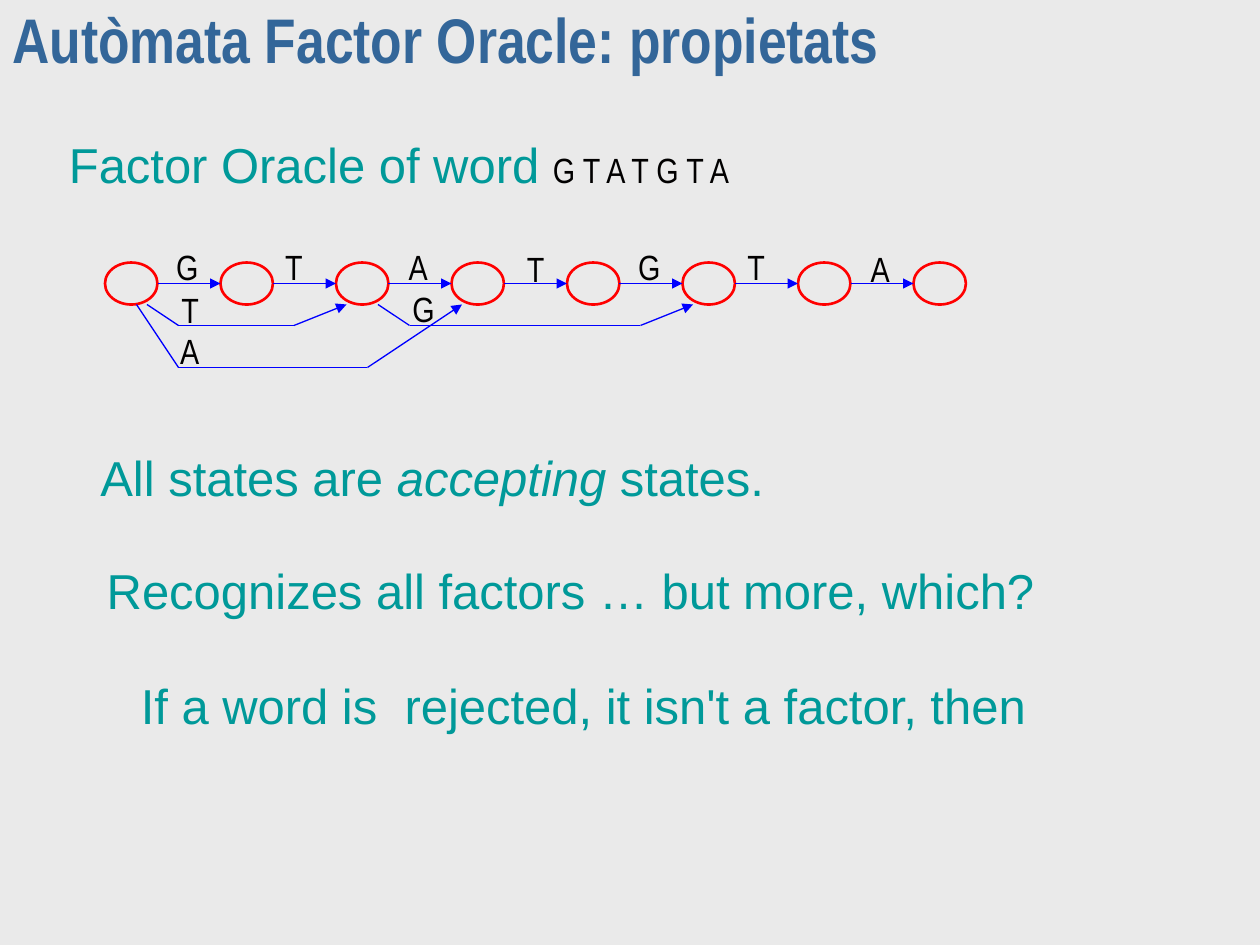
from pptx import Presentation
from pptx.dml.color import RGBColor
from pptx.enum import shapes, text
from pptx.oxml.ns import qn
from pptx.util import Pt
from lxml import etree

COLORS = {"background": "EAEAEA", "title": "336699", "body": "009999",
          "letter": "010000", "state": "FF0000", "arrow": "0000FF"}
BODY, NARROW = "Arial", "Arial Narrow"

WORD = "GTATGTA"
STATE_W, STATE_H, PITCH = 30, 24, 66
# Shift of each letter from the middle of its arrow
LETTER_SHIFTS = [(-1, 0), (-6, 0), (-1, 0), (0, 1.5), (-1, 0), (-6, 0), (-1, 1.5)]
# Letter, source state, target state, start offset, depth, length of rise, letter x, letter y
JUMPS = [("T", 0, 2, 24, 12, 30, 48.7, 27),
         ("A", 0, 3, 18, 36, 54, 48.4, 50),
         ("G", 2, 5, 24, 12, 30, 50, 26.5)]


def color(name):
    return RGBColor.from_string(COLORS[name])


def style(run, size, font, name, bold=False, italic=False):
    run.font.size = Pt(size)
    run.font.name = font
    run.font.color.rgb = color(name)
    run.font.bold = bold
    run.font.italic = italic


def add_title(slide, left, top, width, height):
    title = slide.shapes.title
    title.left, title.top, title.width, title.height = map(Pt, (left, top, width, height))
    frame = title.text_frame
    frame.text = "Autòmata Factor Oracle: propietats"
    frame.vertical_anchor = text.MSO_ANCHOR.MIDDLE
    frame.auto_size = text.MSO_AUTO_SIZE.NONE
    paragraph = frame.paragraphs[0]
    paragraph.alignment = text.PP_ALIGN.LEFT
    paragraph.line_spacing = 0.7
    style(paragraph.runs[0], 36, NARROW, "title", bold=True)


def add_statement(slide, left, top, width, height, parts):
    """Place one line of text; parts are (wording, size, font, color, italic)."""
    statement = slide.shapes.add_textbox(*map(Pt, (left, top, width, height)))
    frame = statement.text_frame
    frame.word_wrap = False
    for wording, size, font, name, italic in parts:
        run = frame.paragraphs[0].add_run()
        run.text = wording
        style(run, size, font, name, italic=italic)


def add_letter(group, letter, center_x, center_y, width=27, height=31.5):
    label = group.shapes.add_textbox(Pt(center_x - width / 2), Pt(center_y - height / 2),
                                     Pt(width), Pt(height))
    frame = label.text_frame
    frame.text = letter
    frame.word_wrap = False
    frame.vertical_anchor = text.MSO_ANCHOR.MIDDLE
    frame.paragraphs[0].alignment = text.PP_ALIGN.CENTER
    style(frame.paragraphs[0].runs[0], 20, NARROW, "letter")


def add_line(group, start, end, arrow=False):
    line = group.shapes.add_connector(shapes.MSO_CONNECTOR.STRAIGHT, *map(Pt, start + end))
    line.line.color.rgb = color("arrow")
    line.line.width = Pt(0.75)
    if arrow:
        etree.SubElement(line.line._get_or_add_ln(), qn("a:tailEnd"), type="triangle")
    etree.SubElement(line._element.spPr, qn("a:effectLst"))


def add_automaton(slide, left, top):
    group = slide.shapes.add_group_shape()
    middle, bottom = top + STATE_H / 2, top + STATE_H
    lefts = [left + PITCH * i for i in range(len(WORD) + 1)]

    # States
    for state_left in lefts:
        state = group.shapes.add_shape(shapes.MSO_SHAPE.OVAL, Pt(state_left), Pt(top),
                                       Pt(STATE_W), Pt(STATE_H))
        state.shadow.inherit = False
        state.fill.background()
        state.line.color.rgb = color("state")
        state.line.width = Pt(1.5)

    # Main chain
    for letter, (dx, dy), source, target in zip(WORD, LETTER_SHIFTS, lefts, lefts[1:]):
        add_line(group, (source + STATE_W, middle), (target, middle), arrow=True)
        add_letter(group, letter, (source + STATE_W + target) / 2 + dx, middle - 10 + dy)

    # Jumps below the chain
    for letter, source, target, offset, depth, rise, letter_x, letter_y in JUMPS:
        end_x = lefts[target] + 6
        points = [(lefts[source] + offset, bottom), (lefts[source] + 42, bottom + depth),
                  (end_x - rise, bottom + depth), (end_x, bottom)]
        for i, (start, end) in enumerate(zip(points, points[1:])):
            add_line(group, start, end, arrow=i == 2)
        add_letter(group, letter, lefts[source] + letter_x, top + letter_y)


def main():
    deck = Presentation()
    deck.slide_width, deck.slide_height = Pt(720), Pt(540)
    slide = deck.slides.add_slide(deck.slide_layouts[5])
    slide.background.fill.solid()
    slide.background.fill.fore_color.rgb = color("background")

    add_title(slide, 0, 0, 720, 54)

    # Word and its automaton
    main_text = (28, BODY, "body", False)
    add_statement(slide, 32.3, 73.5, 404.7, 41,
                  [("Factor Oracle of word ", *main_text),
                   ("G T A T G T A", 20, NARROW, "letter", False)])
    add_automaton(slide, 60, 150)

    # Properties
    add_statement(slide, 50.3, 252, 399.7, 41,
                  [("All states are ", *main_text),
                   ("accepting ", 28, BODY, "body", True),
                   ("states.", *main_text)])
    add_statement(slide, 53.9, 316.8, 550, 41,
                  [("Recognizes all factors … but more, which?", *main_text)])
    add_statement(slide, 73.4, 382.3, 521.3, 41,
                  [("If a word is  rejected, it isn't a factor, then", *main_text)])

    deck.save("out.pptx")


if __name__ == "__main__":
    main()
